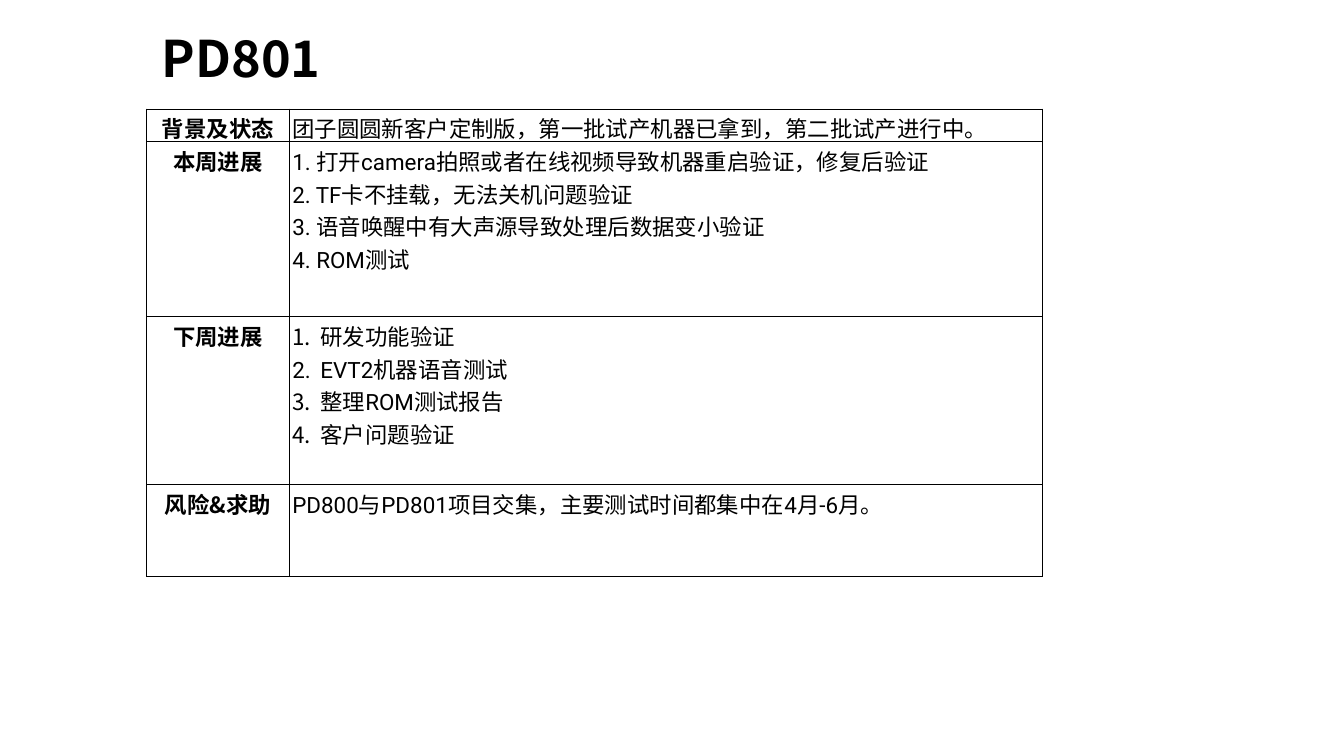
from lxml.etree import SubElement
from pptx import Presentation
from pptx.dml.color import RGBColor
from pptx.enum.text import MSO_ANCHOR, PP_ALIGN
from pptx.oxml.ns import qn
from pptx.util import Cm, Pt

COLORS = {"text": "000000", "border": "000000"}
HEAD_FONT, BODY_FONT = "Noto Sans CJK SC", "Roboto"
MARGIN = Cm(0.15)
INDENT = Cm(1.42)

# label, paragraphs, automatic numbering, row height in cm
ROWS = [
    ("背景及状态", ["团子圆圆新客户定制版，第一批试产机器已拿到，第二批试产进行中。"], False, 1.35),
    ("本周进展", ["1. 打开camera拍照或者在线视频导致机器重启验证，修复后验证",
              "2. TF卡不挂载，无法关机问题验证",
              "3. 语音唤醒中有大声源导致处理后数据变小验证",
              "4. ROM测试"], False, 8.81),
    ("下周进展", ["研发功能验证", "EVT2机器语音测试", "整理ROM测试报告", "客户问题验证"], True, 8.46),
    ("风险&求助", ["PD800与PD801项目交集，主要测试时间都集中在4月-6月。"], False, 4.65),
]


def style_runs(p, font, size, bold):
    for r in p.runs:
        r.font.name = font
        r.font.size = Pt(size)
        r.font.bold = bold
        r.font.color.rgb = RGBColor.from_string(COLORS["text"])


def format_cell(cell):
    """Set the margins, the black borders and the empty fill."""
    cell.margin_left = cell.margin_right = MARGIN
    cell.margin_top = cell.margin_bottom = MARGIN
    cell.vertical_anchor = MSO_ANCHOR.TOP
    tc_pr = cell._tc.get_or_add_tcPr()
    for side in ("lnL", "lnR", "lnT", "lnB"):
        ln = SubElement(tc_pr, qn(f"a:{side}"), w=str(Pt(1)))
        fill = SubElement(ln, qn("a:solidFill"))
        SubElement(fill, qn("a:srgbClr"), val=COLORS["border"])
    cell.fill.background()


prs = Presentation()
prs.slide_width, prs.slide_height = Cm(67.74), Cm(38.1)
s = prs.slides.add_slide(prs.slide_layouts[6])

# Title
title = s.shapes.add_textbox(Cm(8), Cm(1.22), Cm(32.13), Cm(3.35))
tf = title.text_frame
tf.word_wrap = True
tf.vertical_anchor = MSO_ANCHOR.MIDDLE
tf.margin_left = tf.margin_right = tf.margin_top = tf.margin_bottom = MARGIN
tf.text = "PD801"
style_runs(tf.paragraphs[0], HEAD_FONT, 72, True)

# Status table
height = sum(row[3] for row in ROWS)
table = s.shapes.add_table(len(ROWS), 2, Cm(7.39), Cm(5.49), Cm(45.14), Cm(height)).table
table.first_row = table.horz_banding = False
table.columns[0].width, table.columns[1].width = Cm(7.19), Cm(37.95)

for row, (label, lines, numbered, row_height) in zip(table.rows, ROWS):
    row.height = Cm(row_height)
    head, body = row.cells
    format_cell(head)
    format_cell(body)

    head.text_frame.text = label
    p = head.text_frame.paragraphs[0]
    p.alignment = PP_ALIGN.CENTER
    style_runs(p, HEAD_FONT, 32, True)

    body.text_frame.text = "\n".join(lines)
    for p in body.text_frame.paragraphs:
        if numbered:
            p_pr = p._p.get_or_add_pPr()
            p_pr.set("marL", str(INDENT))
            p_pr.set("indent", str(-INDENT))
            SubElement(p_pr, qn("a:buAutoNum"), type="arabicPeriod")
        style_runs(p, BODY_FONT, 32, False)

prs.save("out.pptx")
